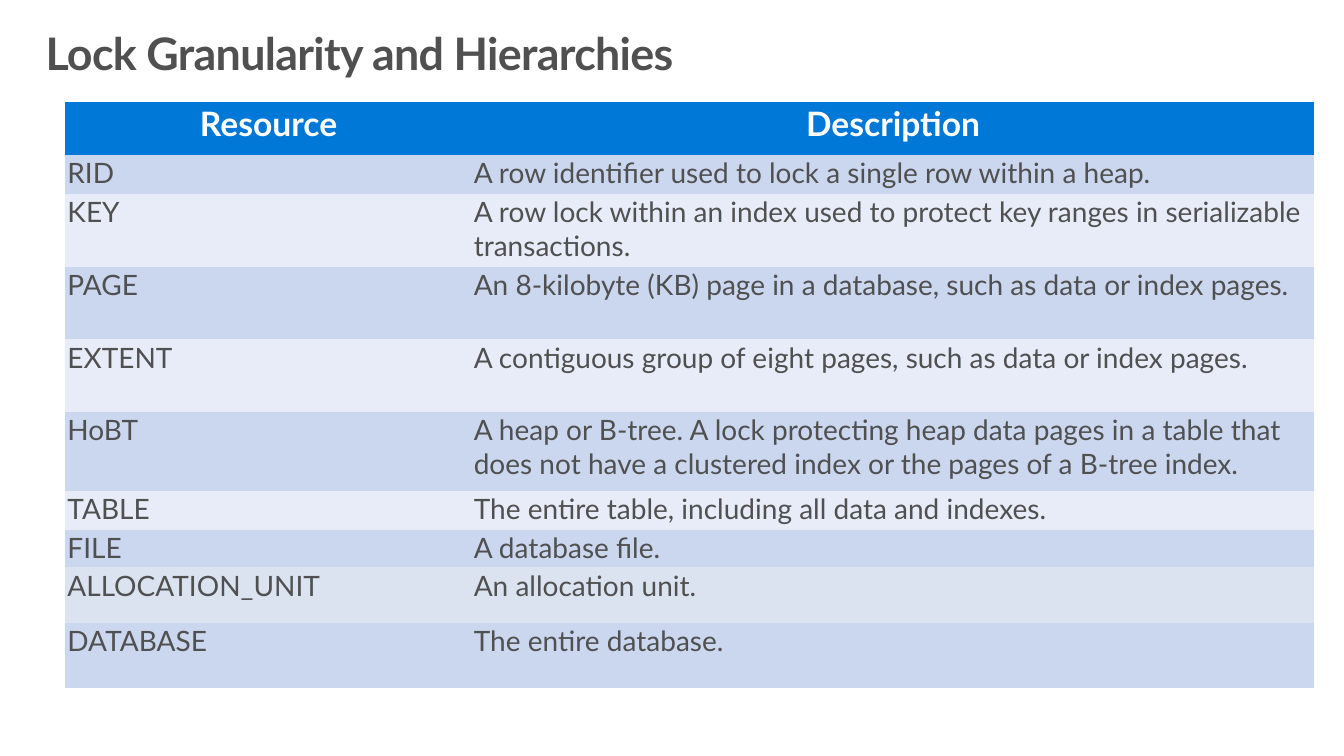
"""Build the slide that lists lockable resources and their descriptions."""
from pptx import Presentation
from pptx.dml.color import RGBColor
from pptx.enum.text import MSO_ANCHOR, PP_ALIGN
from pptx.oxml.ns import qn
from pptx.util import Cm, Pt

COLORS = {
    "text": "505050",
    "header_text": "FFFFFF",
    "header": "0078D7",
    "band_dark": "CBD6EF",
    "band_light": "E7ECF8",
    "allocation": "DBE3F1",
}
NO_STYLE = "{2D5ABB26-0587-4C30-8999-92F81FD0307C}"


def write(frame, text, size=20, color="text", bold=False, align=PP_ALIGN.LEFT,
          margins=(0.05, 0.03), line_spacing=None, tracking=None):
    frame.word_wrap = True
    frame.margin_left = frame.margin_right = Cm(margins[0])
    frame.margin_top = frame.margin_bottom = Cm(margins[1])
    paragraph = frame.paragraphs[0]
    paragraph.alignment = align
    if line_spacing:
        paragraph.line_spacing = line_spacing
    run = paragraph.add_run()
    run.text = text
    run.font.name = "Lato"
    run.font.size = Pt(size)
    run.font.bold = bold
    run.font.color.rgb = RGBColor.from_string(COLORS[color])
    if tracking:
        run.font._element.set("spc", str(tracking))


presentation = Presentation()
presentation.slide_width = Cm(33.87)
presentation.slide_height = Cm(19.05)
slide = presentation.slides.add_slide(presentation.slide_layouts[6])

resources = [
    ("Resource", "Description", 1.33, "header"),
    ("RID", "A row identifier used to lock a single row within a heap.", 0.99, "band_dark"),
    ("KEY", "A row lock within an index used to protect key ranges in serializable transactions.",
     1.83, "band_light"),
    ("PAGE", "An 8-kilobyte (KB) page in a database, such as data or index pages.",
     1.83, "band_dark"),
    ("EXTENT", "A contiguous group of eight pages, such as data or index pages.",
     1.83, "band_light"),
    ("HoBT", "A heap or B-tree. A lock protecting heap data pages in a table that "
     "does not have a clustered index or the pages of a B-tree index.", 1.98, "band_dark"),
    ("TABLE", "The entire table, including all data and indexes.", 0.99, "band_light"),
    ("FILE", "A database file.", 0.94, "band_dark"),
    ("ALLOCATION_UNIT", "An allocation unit.", 1.4, "allocation"),
    ("DATABASE", "The entire database.", 1.64, "band_dark"),
]
column_widths = [10.24, 21.23]

lock_frame = slide.shapes.add_table(
    len(resources), len(column_widths), Cm(1.65), Cm(2.57),
    Cm(sum(column_widths)), Cm(sum(height for _, _, height, _ in resources)))
lock_table = lock_frame.table
lock_table.horz_banding = False
next(lock_frame.element.iter(qn("a:tableStyleId"))).text = NO_STYLE
for column, width in zip(lock_table.columns, column_widths):
    column.width = Cm(width)

for row, (resource, description, height, fill) in zip(lock_table.rows, resources):
    row.height = Cm(height)
    if fill == "header":
        text_format = {"size": 24, "color": "header_text", "bold": True,
                       "align": PP_ALIGN.CENTER}
    else:
        text_format = {}
    for cell, text in zip(row.cells, (resource, description)):
        cell.fill.solid()
        cell.fill.fore_color.rgb = RGBColor.from_string(COLORS[fill])
        write(cell.text_frame, text, **text_format)
        cell.margin_left = cell.margin_right = Cm(0.05)
        cell.margin_top = cell.margin_bottom = Cm(0.03)

title = slide.shapes.add_textbox(Cm(0.74), Cm(0.56), Cm(32.39), Cm(2.49))
title.text_frame.vertical_anchor = MSO_ANCHOR.TOP
write(title.text_frame, "Lock Granularity and Hierarchies", size=32, bold=True,
      margins=(0.41, 0.25), line_spacing=0.9, tracking=-50)

presentation.save("out.pptx")
